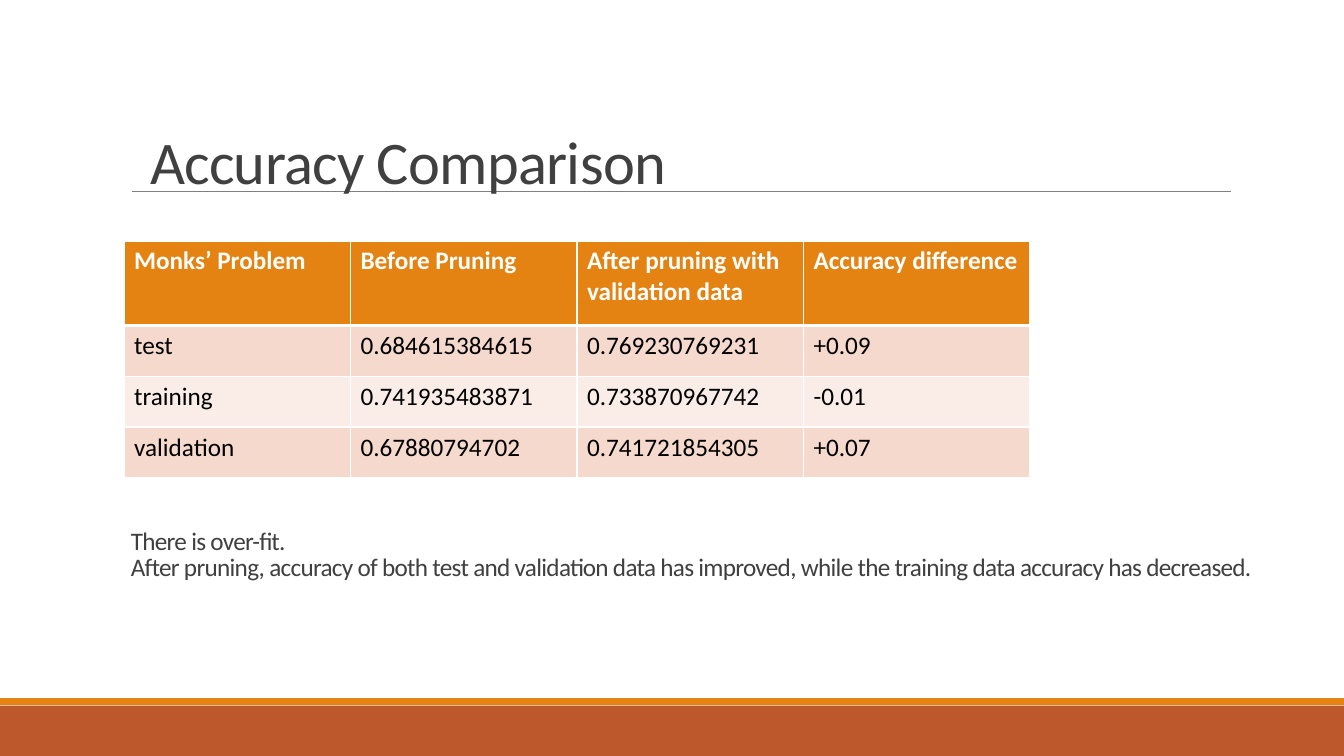
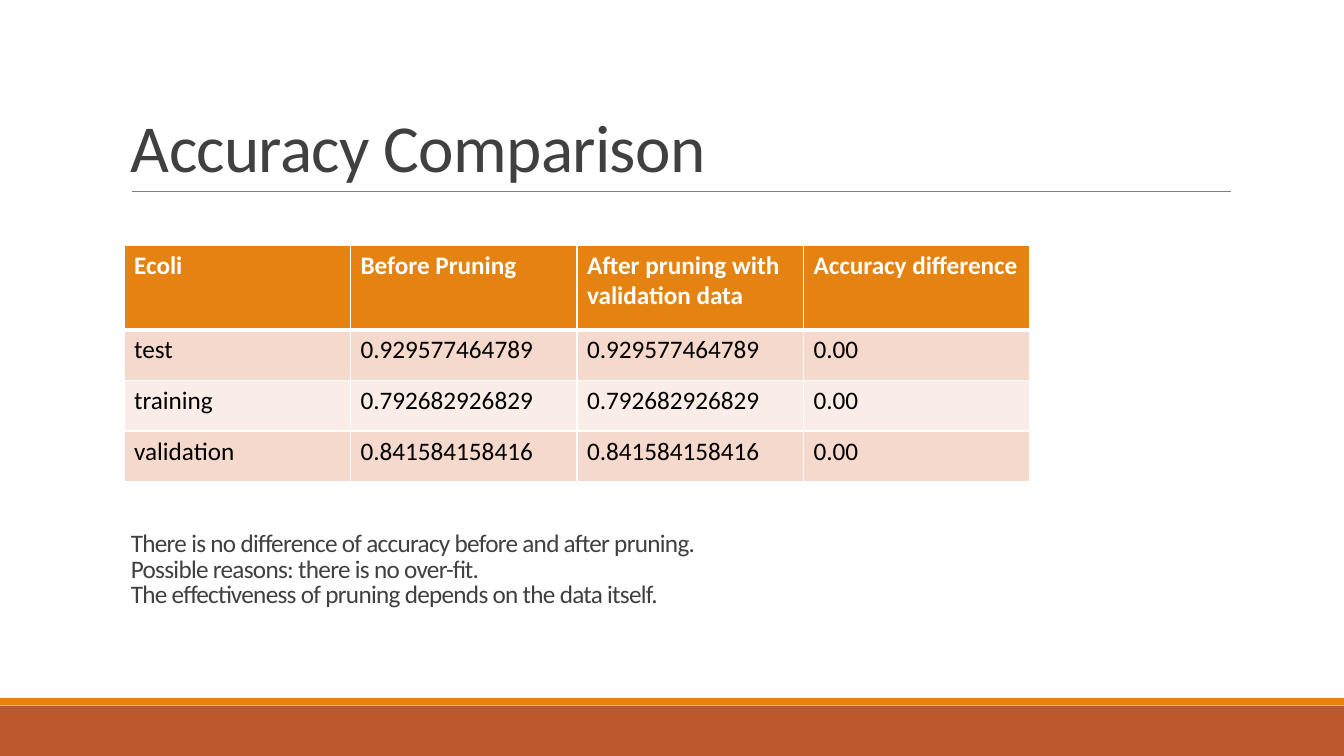
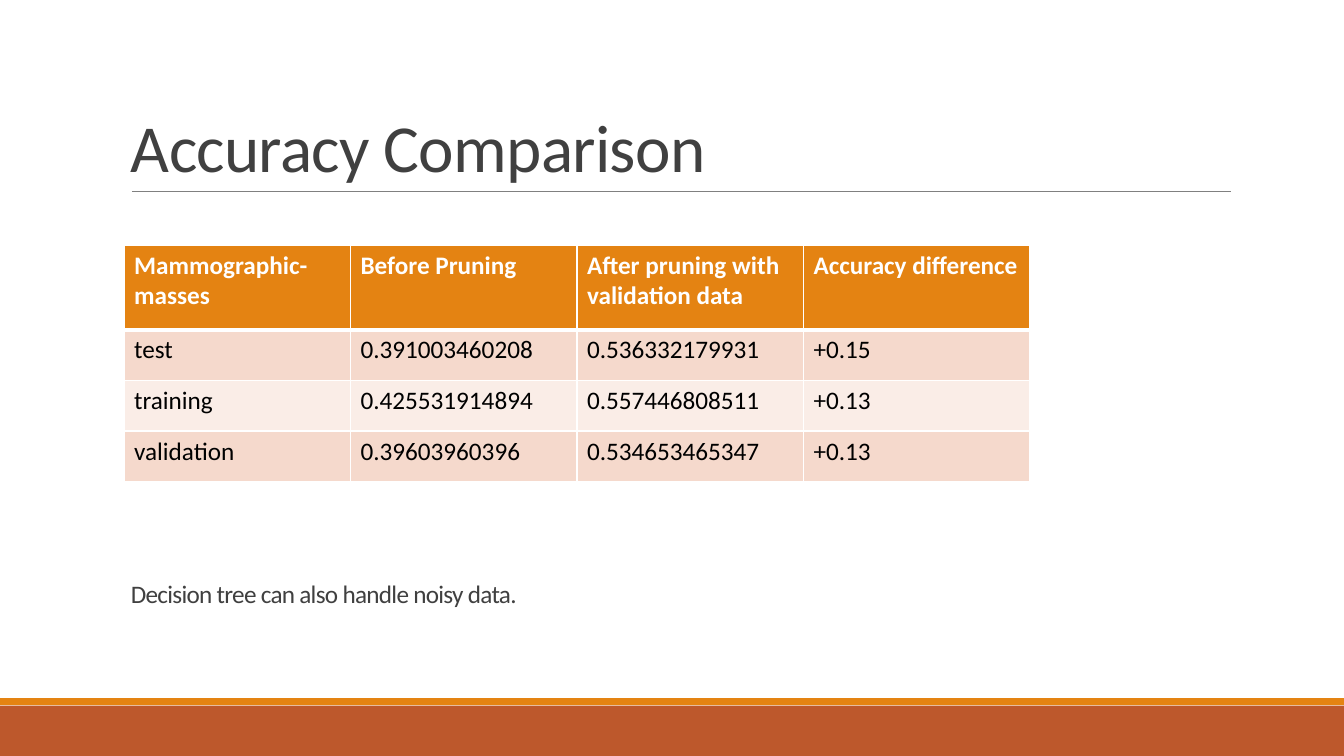
from lxml import etree
from pptx import Presentation
from pptx.dml.color import RGBColor
from pptx.enum import shapes, text
from pptx.oxml.ns import qn
from pptx.util import Pt

FONT = "Calibri"
RUST, ORANGE, GRAY, DARK = "BD582C", "E48312", "808080", "404040"
WHITE, BLACK = "FFFFFF", "000000"
ROW_FILLS = ("F5D9CC", "FAEDE7")

TITLE = "Accuracy Comparison"
TITLE_STYLE = {"box": (86.4, 22.3, 792, 114.5), "size": 48, "spacing": 0.85}
LOW_TITLE_STYLE = {"box": (100.1, 94.3, 828, 49), "size": 43.2, "spacing": 0.75}
MEASURES = ("Before Pruning", "After pruning with validation data",
            "Accuracy difference")

SLIDES = [
    {
        "dataset": "Monks’ Problem",
        "rows": [
            ("test", "0.684615384615", "0.769230769231", "+0.09"),
            ("training", "0.741935483871", "0.733870967742", "-0.01"),
            ("validation", "0.67880794702", "0.741721854305", "+0.07"),
        ],
        "conclusions": [
            "There is over-fit.",
            "After pruning, accuracy of both test and validation data has "
            "improved, while the training data accuracy has decreased.",
        ],
        "title_style": LOW_TITLE_STYLE, "table_top": 172.1, "text_height": 49,
    },
    {
        "dataset": "Ecoli",
        "rows": [
            ("test", "0.929577464789", "0.929577464789", "0.00"),
            ("training", "0.792682926829", "0.792682926829", "0.00"),
            ("validation", "0.841584158416", "0.841584158416", "0.00"),
        ],
        "conclusions": [
            "There is no difference of accuracy before and after pruning.",
            "Possible reasons: there is no over-fit.",
            "The effectiveness of pruning depends on the data itself.",
        ],
        "title_style": TITLE_STYLE, "table_top": 175, "text_height": 68.4,
    },
    {
        "dataset": "Mammographic-masses",
        "rows": [
            ("test", "0.391003460208", "0.536332179931", "+0.15"),
            ("training", "0.425531914894", "0.557446808511", "+0.13"),
            ("validation", "0.39603960396", "0.534653465347", "+0.13"),
        ],
        "conclusions": ["Decision tree can also handle noisy data."],
        "title_style": TITLE_STYLE, "table_top": 175, "text_height": 68.4,
    },
]

SLIDE_WIDTH, SLIDE_HEIGHT = 960, 540
BANDS = [(504, 36, RUST), (498.75, 5.05, ORANGE)]
RULE_LEFT, RULE_RIGHT, RULE_TOP = 94.3, 879.1, 136.8
TABLE_LEFT, COLUMN_WIDTH = 88.6, 161.8
HEADER_HEIGHT, ROW_HEIGHT = 60.5, 36.2
TEXT_LEFT, TEXT_TOP, TEXT_WIDTH = 86.4, 370.1, 828


def color(hex_code):
    """Turn a hex string into a colour."""
    return RGBColor.from_string(hex_code)


def style_runs(paragraph, size, hex_code, bold=False, tracking=None):
    """Format every run of a paragraph."""
    for run in paragraph.runs:
        run.font.name, run.font.size, run.font.bold = FONT, Pt(size), bold
        run.font.color.rgb = color(hex_code)
        if tracking is not None:
            run.font._element.set("spc", str(tracking))


def add_text(slide, lines, box, size, spacing):
    """Add a bottom-anchored text box, one paragraph per line."""
    frame = slide.shapes.add_textbox(*map(Pt, box)).text_frame
    frame.word_wrap = True
    frame.vertical_anchor = text.MSO_ANCHOR.BOTTOM
    frame.text = "\n".join(lines)
    for paragraph in frame.paragraphs:
        paragraph.line_spacing = spacing
        style_runs(paragraph, size, DARK, tracking=-50)


def add_frame(slide):
    """Draw the bottom bands and the rule under the title."""
    for top, height, fill in BANDS:
        band = slide.shapes.add_shape(shapes.MSO_SHAPE.RECTANGLE, 0, Pt(top),
                                      Pt(SLIDE_WIDTH), Pt(height))
        band.shadow.inherit = False
        band.fill.solid()
        band.fill.fore_color.rgb = color(fill)
        band.line.fill.background()
    rule = slide.shapes.add_connector(
        shapes.MSO_CONNECTOR.STRAIGHT, Pt(RULE_LEFT), Pt(RULE_TOP),
        Pt(RULE_RIGHT), Pt(RULE_TOP))
    rule.line.color.rgb = color(GRAY)
    rule.line.width = Pt(0.5)
    etree.SubElement(rule._element.spPr, qn("a:effectLst"))


def add_borders(cell, top, bottom):
    """Give a cell white borders, 1 pt wide at the sides."""
    properties = cell._tc.get_or_add_tcPr()
    for side, width in (("L", 1), ("R", 1), ("T", top), ("B", bottom)):
        line = etree.SubElement(properties, qn("a:ln" + side), w=str(Pt(width)))
        fill = etree.SubElement(line, qn("a:solidFill"))
        etree.SubElement(fill, qn("a:srgbClr"), val=WHITE)


def add_accuracy_table(slide, dataset, rows, top):
    """Add the table of accuracies with a header row and banded rows."""
    grid = [(dataset, *MEASURES), *rows]
    height = HEADER_HEIGHT + ROW_HEIGHT * len(rows)
    table = slide.shapes.add_table(
        len(grid), len(grid[0]), Pt(TABLE_LEFT), Pt(top),
        Pt(COLUMN_WIDTH * len(grid[0])), Pt(height)).table
    for column in table.columns:
        column.width = Pt(COLUMN_WIDTH)
    for index, values in enumerate(grid):
        header = index == 0
        table.rows[index].height = Pt(HEADER_HEIGHT if header else ROW_HEIGHT)
        for cell, value in zip(table.rows[index].cells, values):
            add_borders(cell, 3 if index == 1 else 1, 3 if header else 1)
            cell.fill.solid()
            cell.fill.fore_color.rgb = color(
                ORANGE if header else ROW_FILLS[(index - 1) % 2])
            cell.text = value
            style_runs(cell.text_frame.paragraphs[0], 18,
                       WHITE if header else BLACK, bold=header)


def build_slide(presentation, content):
    """Build one comparison slide."""
    slide = presentation.slides.add_slide(presentation.slide_layouts[6])
    add_frame(slide)
    add_text(slide, [TITLE], **content["title_style"])
    add_accuracy_table(slide, content["dataset"], content["rows"],
                       content["table_top"])
    box = (TEXT_LEFT, TEXT_TOP, TEXT_WIDTH, content["text_height"])
    add_text(slide, content["conclusions"], box, size=18, spacing=0.85)


presentation = Presentation()
presentation.slide_width = Pt(SLIDE_WIDTH)
presentation.slide_height = Pt(SLIDE_HEIGHT)
for content in SLIDES:
    build_slide(presentation, content)
presentation.save("out.pptx")
